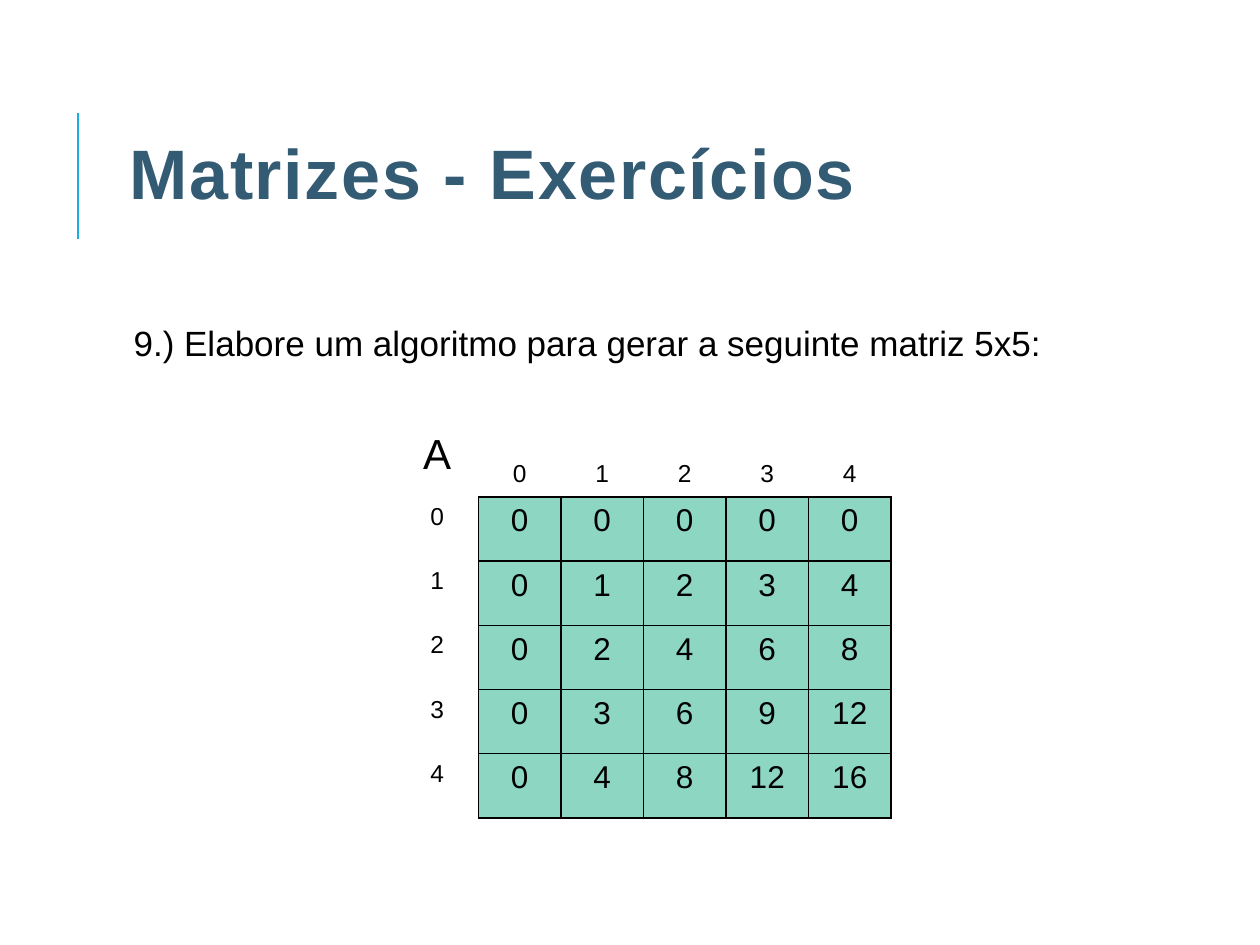
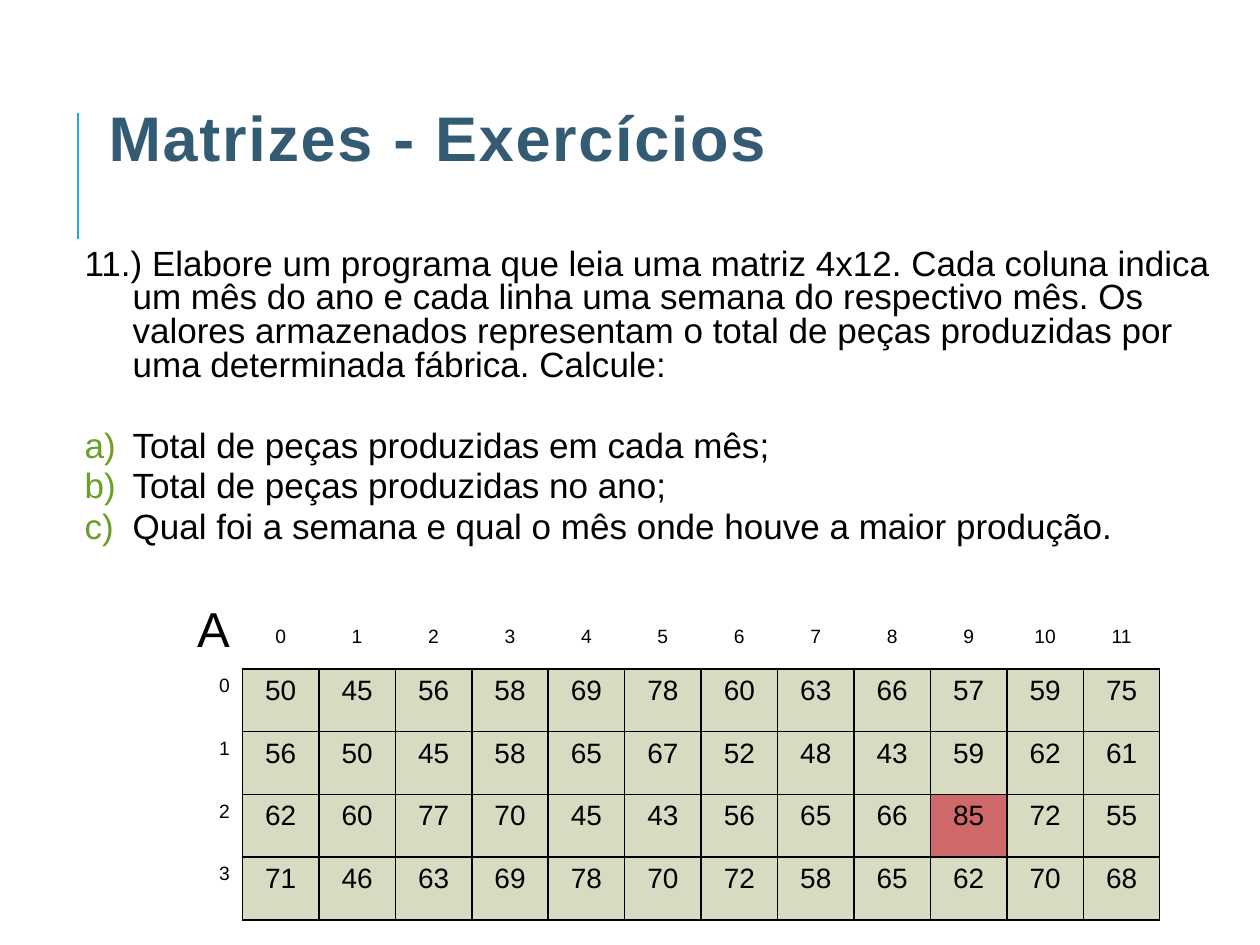
import pptx
import pptx.dml.color
import pptx.enum.shapes
import pptx.enum.text
import pptx.oxml.ns
import pptx.util
from lxml import etree

EMU_PER_PX = pptx.util.Inches(1) / 126
FONT = "Arial"
BLACK = "000000"
TITLE_BLUE = "335B74"
RULE_BLUE = "1CADE4"
BULLET_GREEN = "6B9F25"
MINT = "8DD6C1"
SAND = "D8DAC2"
PEAK_RED = "CF6868"
PLAIN_TABLE_STYLE = "{2D5ABB26-0587-4C30-8999-92F81FD0307C}"
ALIGN = pptx.enum.text.PP_ALIGN
ANCHOR = pptx.enum.text.MSO_ANCHOR

PRODUCTION = [
    [50, 45, 56, 58, 69, 78, 60, 63, 66, 57, 59, 75],
    [56, 50, 45, 58, 65, 67, 52, 48, 43, 59, 62, 61],
    [62, 60, 77, 70, 45, 43, 56, 65, 66, 85, 72, 55],
    [71, 46, 63, 69, 78, 70, 72, 58, 65, 62, 70, 68],
]


def px(length):
    return pptx.util.Emu(round(length * EMU_PER_PX))


def color(value):
    return pptx.dml.color.RGBColor.from_string(value)


def add_child(parent, tag, **attributes):
    return etree.SubElement(parent, pptx.oxml.ns.qn(tag), attributes)


def add_span(para, text, size, ink=BLACK, bold=False):
    span = para.add_run()
    span.text = text
    span.font.name = FONT
    span.font.size = pptx.util.Pt(size)
    span.font.bold = bold
    span.font.color.rgb = color(ink)
    return span


def place(box, left, top, width, height):
    box.left, box.top = px(left), px(top)
    box.width, box.height = px(width), px(height)
    box.text_frame.word_wrap = True
    box.text_frame.auto_size = pptx.enum.text.MSO_AUTO_SIZE.NONE


def add_rule(page):
    rule = page.shapes.add_connector(
        pptx.enum.shapes.MSO_CONNECTOR.STRAIGHT, px(78), px(239), px(78), px(113))
    rule.line.color.rgb = color(RULE_BLUE)
    rule.line.width = pptx.util.Pt(1.5)
    add_child(rule._element.spPr, "a:effectLst")


def add_exercise_page(deck, title_left, title_top, title_size):
    page = deck.slides.add_slide(deck.slide_layouts[1])
    add_rule(page)
    title = page.shapes.title
    place(title, title_left, title_top, 1134, 158)
    title.text_frame.vertical_anchor = ANCHOR.MIDDLE
    para = title.text_frame.paragraphs[0]
    para.alignment = ALIGN.LEFT
    span = add_span(para, "Matrizes - Exercícios", title_size, TITLE_BLUE, True)
    span.font._element.set("spc", "100")
    return page


def format_para(para, margin, indent, spacing, before, lettered):
    properties = para._p.get_or_add_pPr()
    properties.set("marL", str(px(margin)))
    properties.set("indent", str(px(indent)))
    if lettered:
        tint = add_child(properties, "a:buClr")
        add_child(tint, "a:srgbClr", val=BULLET_GREEN)
        add_child(properties, "a:buFont", typeface=FONT)
        add_child(properties, "a:buAutoNum", type="alphaLcParenR")
    else:
        add_child(properties, "a:buNone")
    para.line_spacing = spacing
    para.space_before = pptx.util.Pt(before)


def add_question(page, frame, question, items=(), margin=48, indent=-48, spacing=0.8):
    body = page.placeholders[1]
    place(body, *frame)
    para = body.text_frame.paragraphs[0]
    format_para(para, margin, indent, spacing, 0, False)
    add_span(para, question, 20)
    for number, item in enumerate(items):
        para = body.text_frame.add_paragraph()
        format_para(para, margin, indent, spacing, 4 if number else 27, True)
        add_span(para, item, 20)


def add_borders(cell, sides):
    properties = cell._tc.get_or_add_tcPr()
    for side in "LRTB":
        if side in sides:
            edge = add_child(properties, "a:ln" + side, w=str(pptx.util.Pt(1)))
            fill = add_child(edge, "a:solidFill")
            add_child(fill, "a:srgbClr", val=BLACK)


def fill_cell(cell, text, size, align=ALIGN.CENTER, borders="", fill=None):
    add_borders(cell, borders)
    if fill:
        cell.fill.solid()
        cell.fill.fore_color.rgb = color(fill)
    else:
        cell.fill.background()
    para = cell.text_frame.paragraphs[0]
    para.alignment = align
    add_span(para, str(text), size)


def add_matrix(page, frame, values, fill, name_size, index_size, value_size,
               index_align, index_gap, peak=None):
    header_height = 72
    row_count, column_count = len(values), len(values[0])
    holder = page.shapes.add_table(
        row_count + 1, column_count + 1, *[px(length) for length in frame])
    table = holder.table
    table.first_row = table.horz_banding = False
    table._tbl.tblPr.find(pptx.oxml.ns.qn("a:tableStyleId")).text = PLAIN_TABLE_STYLE
    for row in table.rows:
        row.height = px((frame[3] - header_height) / row_count)
    table.rows[0].height = px(header_height)

    fill_cell(table.cell(0, 0), "A", name_size, index_align)
    for column in range(column_count):
        cell = table.cell(0, column + 1)
        fill_cell(cell, column, index_size, borders="B")
        cell.vertical_anchor = ANCHOR.BOTTOM
        cell.margin_bottom = px(index_gap)
    for row, row_values in enumerate(values):
        fill_cell(table.cell(row + 1, 0), row, index_size, index_align, "R")
        for column, value in enumerate(row_values):
            fill_cell(table.cell(row + 1, column + 1), value, value_size,
                      borders="LRTB", fill=PEAK_RED if value == peak else fill)


def add_product_matrix_page(deck):
    page = add_exercise_page(deck, 117, 92, 40)
    add_question(page, (106, 315, 1004, 554),
                 "9.) Elabore um algoritmo para gerar a seguinte matriz 5x5:",
                 margin=50, indent=-35, spacing=1.0)
    products = [[row * column for column in range(5)] for row in range(5)]
    add_matrix(page, (396, 425, 495, 393), products, MINT, 24, 14, 18,
               ALIGN.CENTER, 9)


def add_production_page(deck):
    page = add_exercise_page(deck, 96, 57, 36)
    add_question(
        page, (72, 243, 1184, 168),
        "11.) Elabore um programa que leia uma matriz 4x12. Cada coluna indica um mês "
        "do ano e cada linha uma semana do respectivo mês. Os valores armazenados "
        "representam o total de peças produzidas por uma determinada fábrica. Calcule:",
        ["Total de peças produzidas em cada mês;",
         "Total de peças produzidas no ano;",
         "Qual foi a semana e qual o mês onde houve a maior produção."])
    add_matrix(page, (166, 597, 994, 323), PRODUCTION, SAND, 28, 11, 16,
               ALIGN.RIGHT, 21, peak=max(map(max, PRODUCTION)))


def main():
    deck = pptx.Presentation()
    deck.slide_width, deck.slide_height = px(1260), px(945)
    add_product_matrix_page(deck)
    add_production_page(deck)
    deck.save("out.pptx")


if __name__ == "__main__":
    main()
